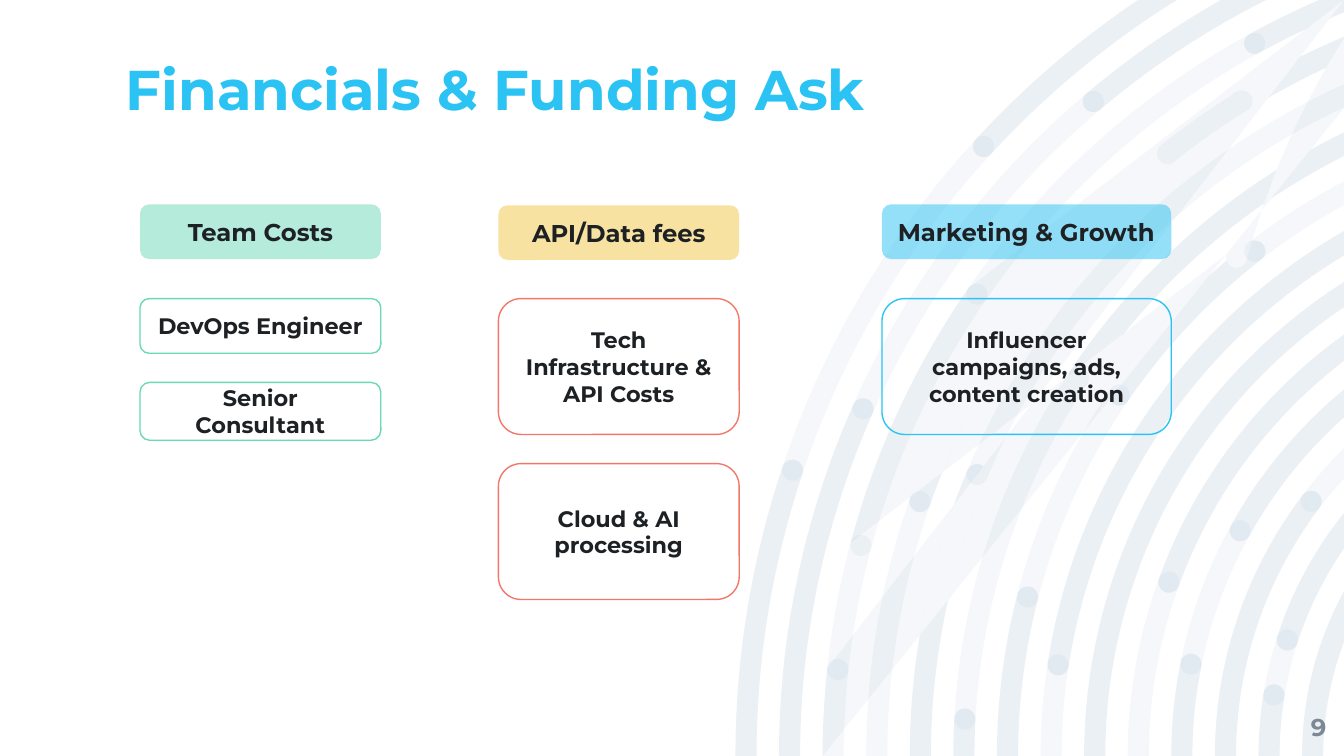
from dataclasses import dataclass
from math import acos, asin, cos, degrees, radians, sin

from lxml.etree import Element, SubElement
from pptx import Presentation
from pptx.dml.color import RGBColor as RGB
from pptx.enum.shapes import MSO_SHAPE as SHAPE
from pptx.enum.text import MSO_ANCHOR as ANCHOR, MSO_AUTO_SIZE as AUTO, PP_ALIGN as ALIGN
from pptx.oxml.ns import qn
from pptx.util import Pt


@dataclass(frozen=True)
class Theme:
    font: str = "Montserrat"
    green: str = "6BD8B6"
    yellow: str = "F3C744"
    coral: str = "F37768"
    blue: str = "2AC3F3"
    navy: str = "004591"
    ink: str = "1E2124"
    grey: str = "7C8894"
    title: float = 30
    head: float = 13
    item: float = 12


T = Theme()
W, H = 720, 405

# Concentric rings, centred beyond the right edge
CX, CY = 882, 405
RADIUS, PITCH, BAND = 488, 23.35, 11.3
HALF = BAND / 2
FULL = (0, 90)
# For each ring, outermost first: the darker arcs in degrees above the bottom edge
ARCS = [
    [(0, 18.5), (42.6, 90)],
    [(0, 23.9), (49.8, 90)],
    [(0, 6.1), (15, 34.6), (61.2, 90)],
    [(19.3, 51.5), (58.3, 90)],
    [(0, 22.8)],
    [(0, 3.1), (33.7, 90)],
    [(0, 14.4), (34.4, 52.2)],
    [(8.8, 90)],
    [FULL],
    [(20, 90)],
    [(0, 11.4), (29, 90)],
    [(0, 37.2)],
    [(0, 9.3), (17.9, 90)],
    [FULL],
]


def polar(r, angle):
    t = radians(angle)
    return CX - r * cos(t), CY - r * sin(t)


def limits(r):
    """Angles at which a circle leaves by the right edge and by the top."""
    return degrees(acos((CX - W) / r)), degrees(asin(H / r)) if r > H else 90


def middle(ring):
    return RADIUS - ring * PITCH - HALF


def band(ring, start, end):
    """Start point and (point, arc) steps of a band cut at the slide edges.

    An arc is (radius, start angle, sweep); None is a straight step.
    """
    outer, inner = middle(ring) + HALF, middle(ring) - HALF
    right_out, top_out = limits(outer)
    right_in, top_in = limits(inner)
    b_out, b_in = min(end, right_out, top_out), min(end, right_in, top_in)
    first = polar(outer, start)
    steps = [(polar(outer, b_out), (outer, 180 + start, b_out - start))]
    if top_out < right_out and right_in < top_in:
        steps.append(((W, 0), None))
    steps.append((polar(inner, b_in), (HALF, 180 + end, 180) if end < 90 else None))
    steps.append((polar(inner, start), (inner, 180 + b_in, start - b_in)))
    if start > 0:
        steps.append((first, (HALF, start, 180)))
    return first, steps


def dot(ring, angle):
    x, y = polar(middle(ring), angle)
    first = (x + HALF, y)
    return first, [((x - HALF, y), (HALF, 0, 180)), (first, (HALF, 180, 180))]


def fill(shape, color, percent):
    shape.fill.solid()
    shape.fill.fore_color.rgb = RGB.from_string(color)
    clr = next(shape.element.spPr.iter(qn("a:srgbClr")))
    SubElement(clr, qn("a:alpha"), val=str(percent * 1000))


def bend(line, arc):
    """Turn one straight step of a freeform into a circular arc."""
    r, start, sweep = arc
    radius = str(int(Pt(r)))
    line.getparent().replace(line, Element(
        qn("a:arcTo"), wR=radius, hR=radius,
        stAng=str(round(start * 60000)), swAng=str(round(sweep * 60000))))


def add_outlines(s, outlines):
    """Draw all outlines as one faint freeform."""
    fb = None
    for (x, y), steps in outlines:
        if fb is None:
            fb = s.shapes.build_freeform(Pt(x), Pt(y))
        else:
            fb.move_to(Pt(x), Pt(y))
        fb.add_line_segments([(Pt(px), Pt(py)) for (px, py), _ in steps], close=True)
    sp = fb.convert_to_shape()
    lines = list(sp.element.spPr.iter(qn("a:lnTo")))
    arcs = [arc for _, steps in outlines for _, arc in steps]
    for line, arc in zip(lines, arcs):
        if arc:
            bend(line, arc)
    sp.shadow.inherit = False
    fill(sp, T.navy, 4)
    sp.line.fill.background()


def add_rings(s):
    arcs = [(ring, a, b) for ring, spans in enumerate(ARCS) for a, b in spans]
    add_outlines(s, [band(ring, *FULL) for ring in range(len(ARCS))])
    add_outlines(s, [band(*arc) for arc in arcs])
    add_outlines(s, [dot(ring, t) for ring, *ends in arcs for t in ends if t not in FULL])


def write(tf, text, size, color, align, anchor=ANCHOR.MIDDLE, inset=True):
    tf.word_wrap = True
    tf.auto_size = AUTO.NONE
    tf.vertical_anchor = anchor
    if not inset:
        tf.margin_left = tf.margin_right = tf.margin_top = tf.margin_bottom = 0
    p = tf.paragraphs[0]
    p.alignment = align
    r = p.add_run()
    r.text = text
    r.font.name, r.font.size, r.font.bold = T.font, Pt(size), True
    r.font.color.rgb = RGB.from_string(color)
    return p


def add_title(s, text):
    sp = s.shapes.title
    sp.left, sp.top, sp.width, sp.height = Pt(67.5), Pt(34.5), Pt(585), Pt(31)
    p = write(sp.text_frame, text, T.title, T.blue, ALIGN.LEFT, ANCHOR.BOTTOM, inset=False)
    p.line_spacing = 0.9
    sp.element.getparent().append(sp.element)  # in front of the rings


def add_page_number(s, text):
    sp = s.shapes.add_textbox(Pt(667.5), Pt(374), Pt(43), Pt(31))
    write(sp.text_frame, text, T.head, T.grey, ALIGN.RIGHT, inset=False)


def add_box(s, x, y, w, h):
    sp = s.shapes.add_shape(SHAPE.ROUNDED_RECTANGLE, Pt(x), Pt(y), Pt(w), Pt(h))
    sp.shadow.inherit = False
    return sp


def add_header(s, x, y, w, text, color, align=ALIGN.CENTER):
    sp = add_box(s, x, y, w, 29.3)
    fill(sp, color, 50)
    sp.line.fill.background()
    write(sp.text_frame, text, T.head, T.ink, align)


def add_items(s, x, w, color, items):
    """Stack outlined boxes, each given as (height, text)."""
    y = 160
    for h, text in items:
        sp = add_box(s, x, y, w, h)
        sp.fill.background()
        sp.line.color.rgb = RGB.from_string(color)
        sp.line.width = Pt(0.75)
        write(sp.text_frame, text, T.item, T.ink, ALIGN.CENTER)
        y += h + 15.6


def main():
    prs = Presentation()
    prs.slide_width, prs.slide_height = Pt(W), Pt(H)
    s = prs.slides.add_slide(prs.slide_layouts[5])
    add_rings(s)
    add_title(s, "Financials & Funding Ask")
    add_page_number(s, "9")
    add_header(s, 75, 109.5, 129, "Team Costs", T.green)
    add_header(s, 267, 110, 129, "API/Data fees", T.yellow)
    add_header(s, 472.5, 109.5, 155, "Marketing & Growth", T.blue, ALIGN.LEFT)
    add_items(s, 75, 129, T.green, [(29.3, "DevOps Engineer"), (31, "Senior Consultant")])
    add_items(s, 267, 129, T.coral, [(72.8, "Tech Infrastructure & API Costs"),
                                     (72.8, "Cloud & AI processing")])
    add_items(s, 472.5, 155, T.blue, [(72.8, "Influencer campaigns, ads, content creation")])
    prs.save("out.pptx")


if __name__ == "__main__":
    main()
